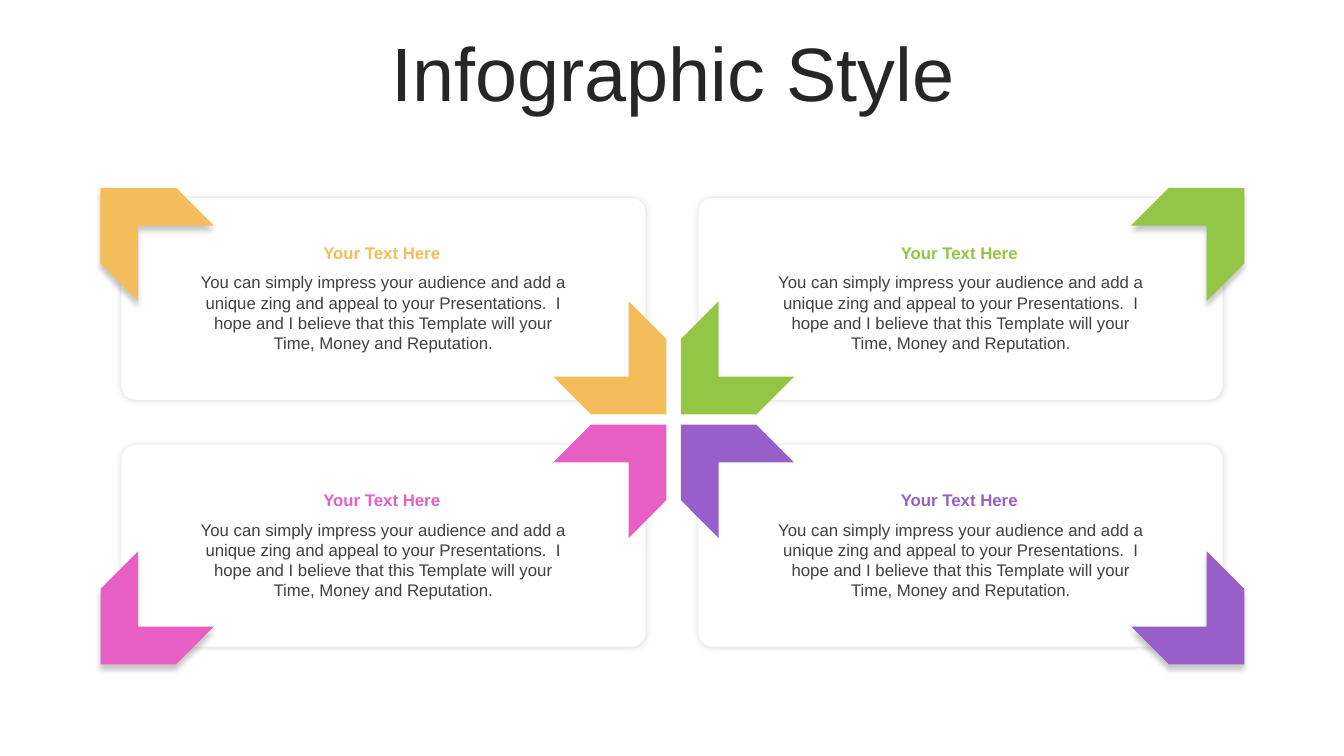
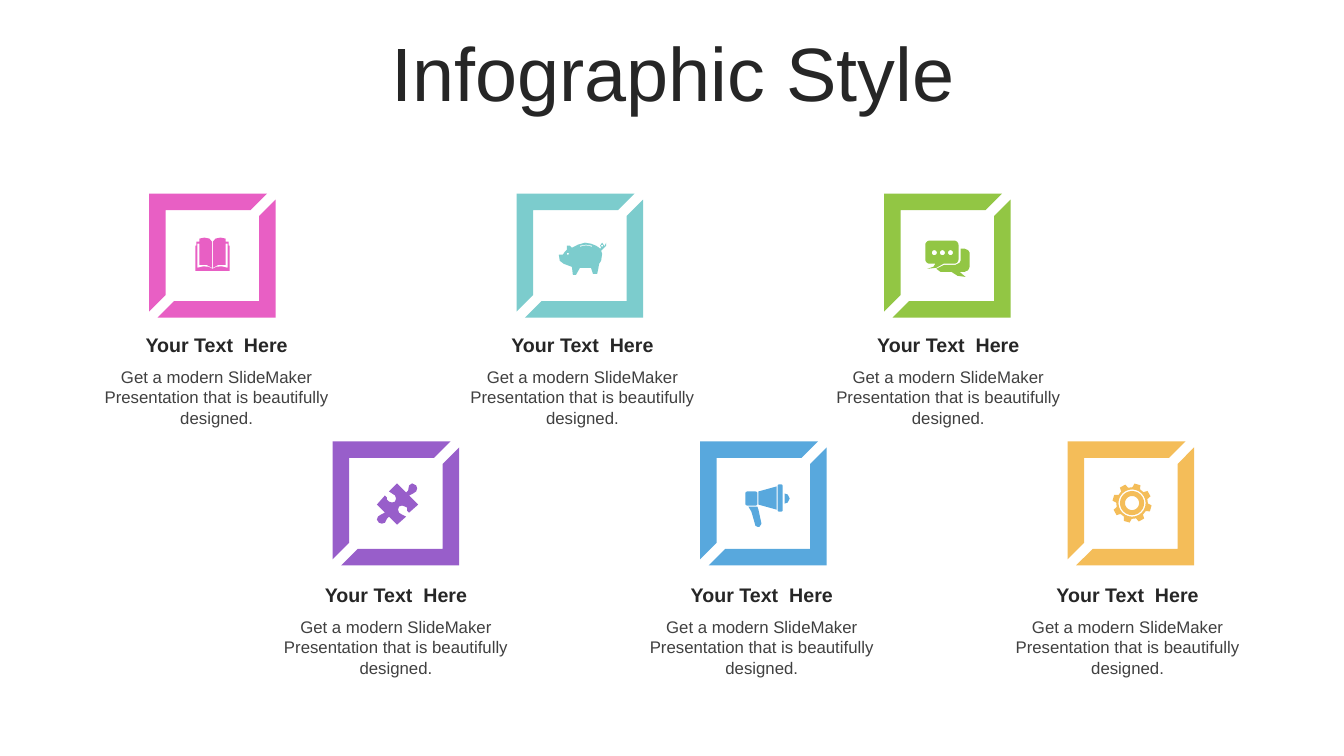
import math

import pptx
import pptx.dml.color
import pptx.enum.shapes
import pptx.enum.text
import pptx.oxml
import pptx.oxml.ns
import pptx.util

RGB = pptx.dml.color.RGBColor
SHAPE = pptx.enum.shapes.MSO_SHAPE
ANCHOR = pptx.enum.text.MSO_ANCHOR

# Colours
WHITE = RGB(0xFF, 0xFF, 0xFF)
DARK = RGB(0x26, 0x26, 0x26)
GREY = RGB(0x40, 0x40, 0x40)
PINK = RGB(0xE8, 0x5F, 0xC4)
YELLOW = RGB(0xF4, 0xBD, 0x59)
GREEN = RGB(0x92, 0xC6, 0x44)
PURPLE = RGB(0x98, 0x5E, 0xCA)
TEAL = RGB(0x7C, 0xCC, 0xCD)
BLUE = RGB(0x58, 0xA8, 0xDD)

# Grid: 160 columns by 90 rows of square cells
COLS, ROWS = 160, 90
CELL = pptx.util.Inches(7.5) / ROWS
ICON_CELL = 0.12  # icon outlines use finer steps

# Shadows: opacity %, blur pt, distance pt, direction in degrees
CARD_SHADOW = (14, 5, 0, 0)
ARROW_SHADOW = (22, 4, 4, 90)

TITLE = "Infographic Style"
CARD_TEXT = ("You can simply impress your audience and add a unique zing and "
             "appeal to your Presentations.  I hope and I believe that this "
             "Template will your Time, Money and Reputation.")
ITEM_TEXT = "Get a modern SlideMaker Presentation that is beautifully designed."


def grid(n):
    return pptx.util.Emu(round(n * CELL))


# Outline helpers, in icon steps around the icon's centre
def arc(x, y, radius, start=0, end=360, steps=24):
    angles = [math.radians(start + (end - start) * i / steps)
              for i in range(steps + 1)]
    return [(x + radius * math.cos(a), y + radius * math.sin(a)) for a in angles]


def rounded(left, top, right, bottom, radius):
    corners = [(right - radius, bottom - radius), (left + radius, bottom - radius),
               (left + radius, top + radius), (right - radius, top + radius)]
    return [pt for i, (x, y) in enumerate(corners)
            for pt in arc(x, y, radius, 90 * i, 90 * i + 90, 6)]


def gear(x, y, root, tip, teeth, phase):
    pitch = 360 / teeth
    profile = [(-0.32, root), (-0.2, tip), (0.2, tip), (0.32, root)]
    return [pt for i in range(teeth) for share, radius in profile
            for pt in arc(x, y, radius, phase + (i + share) * pitch, 0, 1)[:1]]


def mirrored(outlines):
    return outlines + [[(-x, y) for x, y in o] for o in outlines]


BOOK = mirrored([
    [(-13, -17), (-8, -18), (-3, -17), (-0.5, -14), (-0.5, 12), (-6, 9), (-13, 9)],
    [(-17, -10), (-16, -10), (-16, -14), (-13, -14), (-13, -12), (-15, -12),
     (-15, 12), (-9, 10.5), (-4, 11), (0, 13), (0, 15), (-17, 15)],
])
PIG = [
    [(5, -13), (11, -12), (16, -10), (19, -8), (20, -7), (21, -8), (20, -10),
     (22, -13), (24, -10), (24, -9), (26, -13), (26, -10), (23, -7), (21, -5),
     (22, -2), (21, 5), (19, 8), (18, 14), (17, 18), (13, 18), (11, 12), (0, 12),
     (-4, 19), (-7, 19), (-8, 11), (-16, 8), (-20, 5), (-21, -1), (-17, -1),
     (-15, -4), (-13, -6), (-13, -10), (-10, -10), (-8, -8), (-2, -11)],
    [(0, -10), (6, -11), (12, -10), (12, -9), (6, -10.3), (0, -9)],
    arc(-12, -2, 1),
    arc(22, -10, 1),
]
CHAT = [
    rounded(-22, -15, 11, 8, 4.5),
    [(-12, 8), (-4, 8), (-11, 12), (-20, 13), (-14, 11)],
    [(13, -7), (17, -7), (20.5, -5.5), (22, -3), (22, 11), (20.5, 14.5), (17, 16),
     (12, 16), (18, 21), (10, 20), (4, 16), (-7, 16), (-11, 13), (-3, 9), (8, 9),
     (12, 7), (13, 5)],
] + [arc(x, -3, 2.5) for x in (-13, -5, 3)]
PUZZLE = [
    [(20, -18), (21, -15), (20, -12), (17, -10), (13, -8), (22, 1), (13, 9),
     (11, 7), (11, 4), (9, 3), (6, 2), (3, 3), (2, 6), (3, 9), (6, 11), (10, 13),
     (1, 21), (-7, 13), (-9, 15), (-11, 19), (-14, 20), (-17, 19), (-19, 16),
     (-18, 13), (-15, 11), (-11, 9), (-19, 1), (-11, -8), (-9, -6), (-9, -4),
     (-7, -2), (-4, -1), (-1, -2), (0, -5), (-1, -8), (-4, -10), (-7, -12),
     (1, -20), (10, -11), (12, -13), (13, -18), (16, -20)],
]
MEGAPHONE = [
    [(-6, 3), (-5, 6), (-2, 20), (-4, 23), (-6, 23), (-8, 22), (-12, 8), (-15, 3)],
    rounded(-18, -12, -6, 2, 2),
    [(-5, -12), (13, -17), (13, 6), (-5, 1)],
    rounded(14, -19, 19, 8, 1.5),
    [(21, -10), (24, -9), (26, -5), (24, -1), (21, 0)],
]
GEAR = [gear(1, -0.5, 15.7, 19.5, 8, 16)] + [arc(1, -0.5, r) for r in (13.5, 12, 7)]


class Deck:
    """Holds the style and the slide being drawn."""

    font = "Arial"

    def __init__(self):
        self.prs = pptx.Presentation()
        self.prs.slide_width = grid(COLS)
        self.prs.slide_height = grid(ROWS)
        self.s = None

    def slide(self, title):
        self.s = self.prs.slides.add_slide(self.prs.slide_layouts[6])
        p = self.text(title, 4.2, 4.45, 151.9, 9.45, 54, DARK, anchor=ANCHOR.MIDDLE)
        p.line_spacing = 0.9

    def text(self, text, x, y, w, h, size, color, bold=False, anchor=ANCHOR.TOP):
        tf = self.s.shapes.add_textbox(grid(x), grid(y), grid(w), grid(h)).text_frame
        tf.word_wrap = True
        tf.vertical_anchor = anchor
        p = tf.paragraphs[0]
        p.text = text
        p.alignment = pptx.enum.text.PP_ALIGN.CENTER
        p.font.name = self.font
        p.font.size = pptx.util.Pt(size)
        p.font.bold = bold
        p.font.color.rgb = color
        return p

    def paint(self, sp, color, shadow=None):
        sp.fill.solid()
        sp.fill.fore_color.rgb = color
        sp.line.fill.background()
        sp.shadow.inherit = False
        if shadow:
            alpha, blur, dist, angle = shadow
            effects = sp._element.spPr.find(pptx.oxml.ns.qn("a:effectLst"))
            effects.append(pptx.oxml.parse_xml(
                f'<a:outerShdw {pptx.oxml.ns.nsdecls("a")} '
                f'blurRad="{pptx.util.Pt(blur)}" dist="{pptx.util.Pt(dist)}" '
                f'dir="{angle * 60000}" algn="ctr" rotWithShape="0">'
                f'<a:srgbClr val="000000"><a:alpha val="{alpha * 1000}"/>'
                '</a:srgbClr></a:outerShdw>'))

    def shape(self, kind, x, y, w, h, color, adj=(), rotation=0, shadow=None):
        sp = self.s.shapes.add_shape(kind, grid(x), grid(y), grid(w), grid(h))
        for i, value in enumerate(adj):
            sp.adjustments[i] = value
        sp.rotation = rotation
        self.paint(sp, color, shadow)

    def arrow(self, x, y, color, rotation, shadow=None):
        self.shape(SHAPE.CHEVRON, x, y, 12.7, 12.7, color,
                   rotation=rotation % 360, shadow=shadow)

    def frame(self, x, y, color):
        for dx, dy, rotation in ((0, 0, 0), (1, 0.72, 180)):
            self.shape(SHAPE.HALF_FRAME, x + dx, y + dy, 14.05, 14.05, color,
                       (0.14, 0.14), rotation)

    def icon(self, outlines, x, y, color):
        def place(pt):
            return grid(x + pt[0] * ICON_CELL), grid(y + pt[1] * ICON_CELL)

        first, *others = [[place(pt) for pt in o] for o in outlines]
        builder = self.s.shapes.build_freeform(*first[0])
        builder.add_line_segments(first[1:])
        for outline in others:
            builder.move_to(*outline[0])
            builder.add_line_segments(outline[1:])
        self.paint(builder.convert_to_shape(), color)


def cards_slide(deck):
    deck.slide(TITLE)
    # Column, row, colour and direction of the arrow at the centre
    cards = [(0, 1, PINK, 315), (0, 0, YELLOW, 45),
             (1, 0, GREEN, 135), (1, 1, PURPLE, 225)]
    for col, row, color, turn in cards:
        deck.shape(SHAPE.ROUNDED_RECTANGLE, 14.45 + 68.7 * col, 23.6 + 29.4 * row,
                   62.4, 24, WHITE, (0.07,), shadow=CARD_SHADOW)
        deck.arrow(68.5 + 10.7 * col, 38.5 + 10.2 * row, color, turn)
        deck.arrow(10.1 + 127.2 * col, 20.5 + 47.75 * row, color, turn + 180,
                   ARROW_SHADOW)
    for col, row, color, _ in cards:
        x, y = 22.35 + 68.75 * col, 28.3 + 29.45 * row
        deck.text("Your Text Here", x, y, 46.2, 3.6, 12, color, bold=True)
        deck.text(CARD_TEXT, x, y + 3.5, 46.6, 10.9, 12, GREY)


def icons_slide(deck):
    deck.slide(TITLE)
    rows = [[(PINK, BOOK), (TEAL, PIG), (GREEN, CHAT)],
            [(PURPLE, PUZZLE), (BLUE, MEGAPHONE), (YELLOW, GEAR)]]
    for row, items in enumerate(rows):
        for col, (color, outlines) in enumerate(items):
            # Frame and icon
            x, y = 17.75 + 43.75 * col + 21.85 * row, 23.05 + 29.5 * row
            deck.frame(x, y, color)
            deck.icon(outlines, x + 7.55, y + 7.4, color)
            # Caption
            x, y = 9.95 + 43.55 * col + 21.35 * row, 39 + 29.75 * row
            deck.text("Your Text  Here", x, y, 31.7, 4.1, 14, DARK, bold=True,
                      anchor=ANCHOR.MIDDLE)
            deck.text(ITEM_TEXT, x, y + 4.1, 31.7, 8.5, 12, GREY)


def main():
    deck = Deck()
    cards_slide(deck)
    icons_slide(deck)
    deck.prs.save("out.pptx")


if __name__ == "__main__":
    main()
